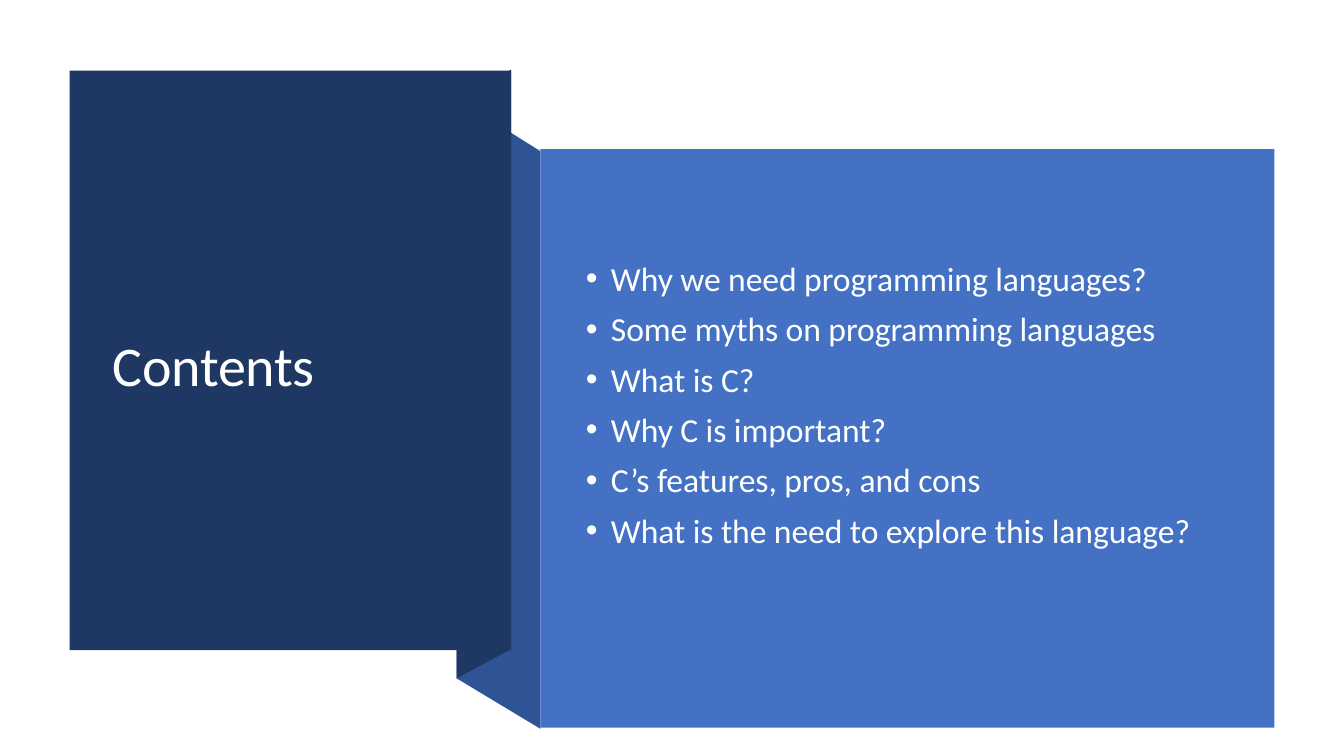
from lxml import etree
from pptx import Presentation
from pptx import util as u
from pptx.dml.color import RGBColor
from pptx.enum import shapes, text
from pptx.oxml.ns import qn

WIDTH, HEIGHT = 13.33, 7.5
NAVY, FOLD_BLUE, PANEL_BLUE = "1F3863", "2E5496", "4471C4"
WHITE, OFF_WHITE = "FFFFFF", "FDFFFF"

# Column edges of the folded ribbon, in inches
TITLE_LEFT, FOLD_LEFT, TITLE_RIGHT, LIST_LEFT = 0.69, 4.53, 5.07, 5.36
TITLE_TOP, TITLE_HEIGHT = 0.7, 5.75
LIST_TOP, LIST_WIDTH, LIST_HEIGHT = 1.48, 7.28, 5.74
FOLD_TOP, FOLD_BOTTOM = 0.98, 6.73

TOPICS = [
    "Why we need programming languages?",
    "Some myths on programming languages",
    "What is C?",
    "Why C is important?",
    "C’s features, pros, and cons",
    "What is the need to explore this language?",
]


def color(hex_string):
    return RGBColor.from_string(hex_string)


def paint(shape, fill):
    """Give a shape a flat fill with no outline or shadow."""
    shape.fill.solid()
    shape.fill.fore_color.rgb = color(fill)
    shape.line.fill.background()
    shape.shadow.inherit = False


def add_panel(slide, left, top, width, height, fill):
    panel = slide.shapes.add_shape(
        shapes.MSO_SHAPE.RECTANGLE, *map(u.Inches, (left, top, width, height)))
    paint(panel, fill)
    return panel


def add_fold(slide, corners, fill):
    start, *others = [(u.Inches(x), u.Inches(y)) for x, y in corners]
    builder = slide.shapes.build_freeform(*start)
    builder.add_line_segments(others, close=True)
    paint(builder.convert_to_shape(), fill)


def write(panel, lines, *, size, ink, top, indent, hanging=0, gap=0,
          spacing=0, bullet=None, font="Calibri"):
    """Fill a panel with left-aligned paragraphs; top and indents are in inches."""
    frame = panel.text_frame
    frame.word_wrap = True
    frame.vertical_anchor = text.MSO_ANCHOR.TOP
    frame.margin_left = frame.margin_right = frame.margin_bottom = 0
    frame.margin_top = u.Inches(top)
    for index, line in enumerate(lines):
        paragraph = frame.paragraphs[0] if index == 0 else frame.add_paragraph()
        paragraph.alignment = text.PP_ALIGN.LEFT
        paragraph.space_before = u.Pt(gap if index else 0)
        properties = paragraph._p.get_or_add_pPr()
        properties.set("marL", str(u.Inches(indent)))
        properties.set("indent", str(u.Inches(-hanging)))
        if bullet:
            bullet_font = etree.SubElement(properties, qn("a:buFont"))
            bullet_font.set("typeface", "Arial")
            etree.SubElement(properties, qn("a:buChar")).set("char", bullet)
        run = paragraph.add_run()
        run.text = line
        run.font.name = font
        run.font.size = u.Pt(size)
        run.font.color.rgb = color(ink)
        run._r.get_or_add_rPr().set("spc", str(round(spacing * 100)))


def main():
    deck = Presentation()
    deck.slide_width, deck.slide_height = u.Inches(WIDTH), u.Inches(HEIGHT)
    slide = deck.slides.add_slide(deck.slide_layouts[6])

    add_fold(slide, [(FOLD_LEFT, FOLD_TOP), (FOLD_LEFT, FOLD_BOTTOM),
                     (LIST_LEFT, 7.23), (LIST_LEFT, 1.5)], FOLD_BLUE)
    add_fold(slide, [(TITLE_RIGHT, 0.69), (FOLD_LEFT, FOLD_TOP),
                     (FOLD_LEFT, FOLD_BOTTOM), (TITLE_RIGHT, 6.44)], NAVY)

    title = add_panel(slide, TITLE_LEFT, TITLE_TOP,
                      TITLE_RIGHT - TITLE_LEFT, TITLE_HEIGHT, NAVY)
    write(title, ["Contents"], size=40, ink=WHITE, top=2.58, indent=0.43,
          spacing=-0.2)

    topics = add_panel(slide, LIST_LEFT, LIST_TOP, LIST_WIDTH, LIST_HEIGHT,
                       PANEL_BLUE)
    write(topics, TOPICS, size=24, ink=OFF_WHITE, top=1.08, indent=0.7,
          hanging=0.25, gap=7.15, spacing=-0.05, bullet="•")

    deck.save("out.pptx")


if __name__ == "__main__":
    main()
